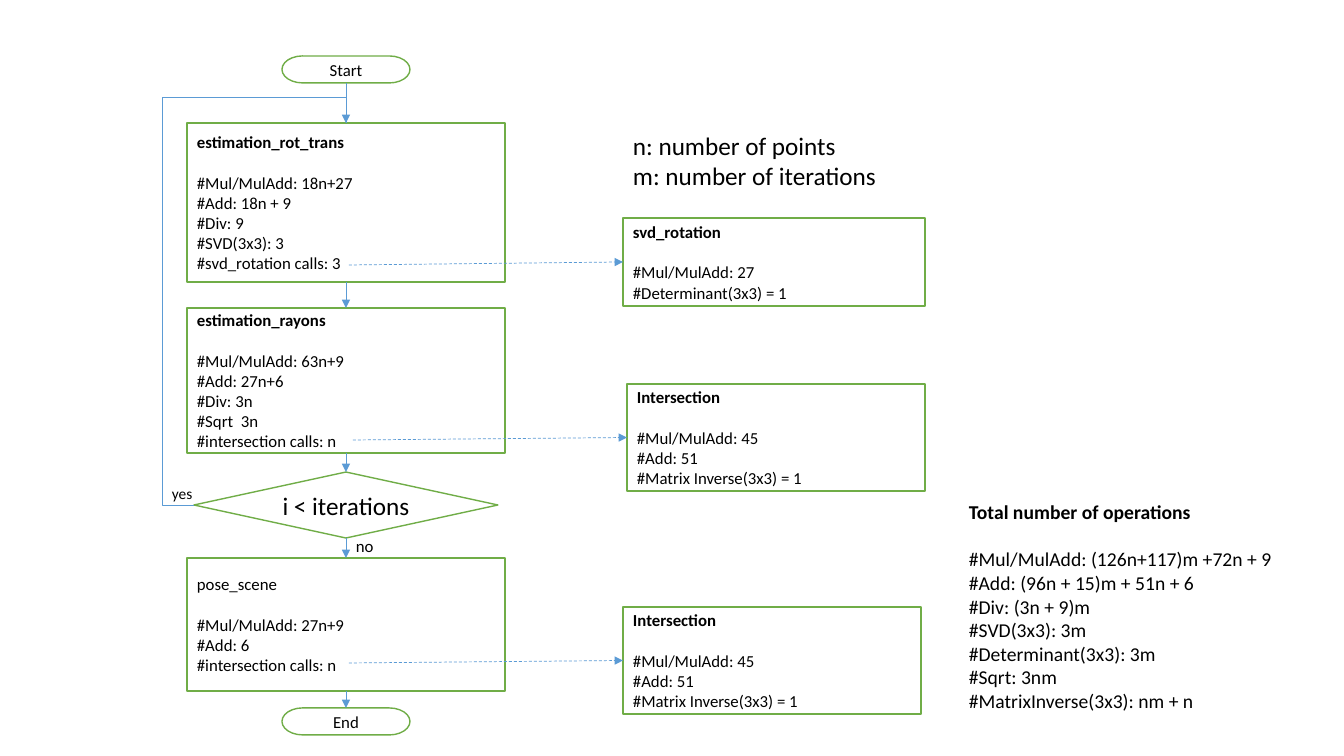
from lxml.etree import SubElement
from pptx import Presentation
from pptx.dml.color import RGBColor
from pptx.enum.dml import MSO_LINE
from pptx.enum.shapes import MSO_CONNECTOR as CONNECTOR, MSO_SHAPE as SHAPE
from pptx.enum.text import MSO_ANCHOR as ANCHOR, MSO_AUTO_SIZE as AUTO_SIZE, PP_ALIGN as ALIGN
from pptx.oxml.ns import qn
from pptx.util import Emu, Pt

TOP, LEFT, BOTTOM = 0, 1, 2  # connection sites


def px(pixels):
    return Emu(round(pixels * 914400 / 100.8))


def color(value):
    return RGBColor.from_string(value)


class Flowchart:
    font, text, fill, border, arrow = "Calibri", "000000", "FFFFFF", "70AD47", "5B9BD5"
    line_height = 1.22

    def __init__(self, slide):
        self.slide = slide

    def set_lines(self, shape, lines, size, align=ALIGN.LEFT, bold=False, heading=False):
        """Fill a shape with lines; a heading is set apart by one line."""
        frame = shape.text_frame
        frame.text = "\n".join(lines)
        for paragraph in frame.paragraphs:
            paragraph.alignment = align
            font = paragraph.font
            font.name, font.size, font.bold = self.font, Pt(size), False
            font.color.rgb = color(self.text)
        if heading:
            frame.paragraphs[0].font.bold = bold
            frame.paragraphs[0].space_after = Pt(round(size * self.line_height, 1))

    def node(self, kind, box, lines, size=12, **style):
        shape = self.slide.shapes.add_shape(kind, *map(px, box))
        shape.shadow.inherit = False
        shape.fill.solid()
        shape.fill.fore_color.rgb = color(self.fill)
        shape.line.color.rgb = color(self.border)
        shape.line.width = Pt(1)
        shape.text_frame.word_wrap = True
        shape.text_frame.vertical_anchor = ANCHOR.MIDDLE
        self.set_lines(shape, lines, size, **style)
        return shape

    def step(self, box, lines, bold=True):
        return self.node(SHAPE.RECTANGLE, box, lines, bold=bold, heading=True)

    def label(self, box, lines, size, wrap=False, **style):
        shape = self.slide.shapes.add_textbox(*map(px, box))
        shape.text_frame.word_wrap = wrap
        shape.text_frame.auto_size = AUTO_SIZE.SHAPE_TO_FIT_TEXT
        self.set_lines(shape, lines, size, **style)

    def connect(self, start, end, site=TOP, kind=CONNECTOR.STRAIGHT, head=True, dash=False):
        """Draw an arrow from a shape or a plain point to a site of a shape."""
        is_point = isinstance(start, tuple)
        point = start if is_point else (0, 0)
        connector = self.slide.shapes.add_connector(kind, *map(px, point), 0, 0)
        if not is_point:
            connector.begin_connect(start, LEFT if kind == CONNECTOR.ELBOW else BOTTOM)
        connector.end_connect(end, site)
        connector.line.color.rgb = color(self.arrow)
        connector.line.width = Pt(0.5)
        if dash:
            connector.line.dash_style = MSO_LINE.DASH
        properties = connector._element.spPr
        if head:
            SubElement(properties.find(qn("a:ln")), qn("a:tailEnd"), type="triangle")
        SubElement(properties, qn("a:effectLst"))
        return connector

    def loop(self, start, end):
        """Route an elbow out to the left of start and in from above end."""
        properties = self.connect(start, end, kind=CONNECTOR.ELBOW)._element.spPr
        frame = properties.find(qn("a:xfrm"))
        frame.attrib.pop("flipV", None)
        frame.set("rot", "10800000")
        frame.set("flipH", "1")
        geometry = properties.find(qn("a:prstGeom"))
        geometry.set("prst", "bentConnector4")
        adjustments = geometry.find(qn("a:avLst"))
        for name, value in (("adj1", -20700), ("adj2", 106600)):
            SubElement(adjustments, qn("a:gd"), name=name, fmla=f"val {value}")


presentation = Presentation()
presentation.slide_width, presentation.slide_height = px(1344), px(756)
chart = Flowchart(presentation.slides.add_slide(presentation.slide_layouts[6]))

# Main flow
start, end = (
    chart.node(SHAPE.FLOWCHART_TERMINATOR, (282, top, 128, 27), [word], align=ALIGN.CENTER)
    for word, top in (("Start", 56), ("End", 708))
)
rotation = chart.step((187, 123, 318, 159), [
    "estimation_rot_trans", "#Mul/MulAdd: 18n+27", "#Add: 18n + 9", "#Div: 9",
    "#SVD(3x3): 3", "#svd_rotation calls: 3"])
rayons = chart.step((187, 308, 318, 145), [
    "estimation_rayons", "#Mul/MulAdd: 63n+9", "#Add: 27n+6", "#Div: 3n",
    "#Sqrt  3n", "#intersection calls: n"])
decision = chart.node(SHAPE.DIAMOND, (194, 472, 304, 66), ["i < iterations"], 18, align=ALIGN.CENTER)
pose = chart.step((187, 558, 318, 133), [
    "pose_scene", "#Mul/MulAdd: 27n+9", "#Add: 6", "#intersection calls: n"], bold=False)

# Flow arrows and the loop back
flow = [start, rotation, rayons, decision, pose, end]
for source, target in zip(flow, flow[1:]):
    chart.connect(source, target, head=source is not start)
chart.loop(decision, rotation)

# Called functions
svd = ["svd_rotation", "#Mul/MulAdd: 27", "#Determinant(3x3) = 1"]
intersection = ["Intersection", "#Mul/MulAdd: 45", "#Add: 51", "#Matrix Inverse(3x3) = 1"]
for box, lines, call in (
    ((623, 218, 302, 88), svd, (349, 265)),
    ((627, 384, 298, 107), intersection, (353, 440)),
    ((623, 607, 298, 107), intersection, (349, 663)),
):
    chart.connect(call, chart.step(box, lines), site=LEFT, dash=True)

# Labels and totals
chart.label((162, 479, 41, 29), ["yes"], 11)
chart.label((346, 531, 38, 30), ["no"], 12)
chart.label((623, 125, 266, 72), ["n: number of points", "m: number of iterations"], 18)
chart.label((959, 495, 352, 224), [
    "Total number of operations", "#Mul/MulAdd: (126n+117)m +72n + 9",
    "#Add: (96n + 15)m + 51n + 6", "#Div: (3n + 9)m", "#SVD(3x3): 3m",
    "#Determinant(3x3): 3m", "#Sqrt: 3nm", "#MatrixInverse(3x3): nm + n",
], 14, wrap=True, bold=True, heading=True)

presentation.save("out.pptx")
